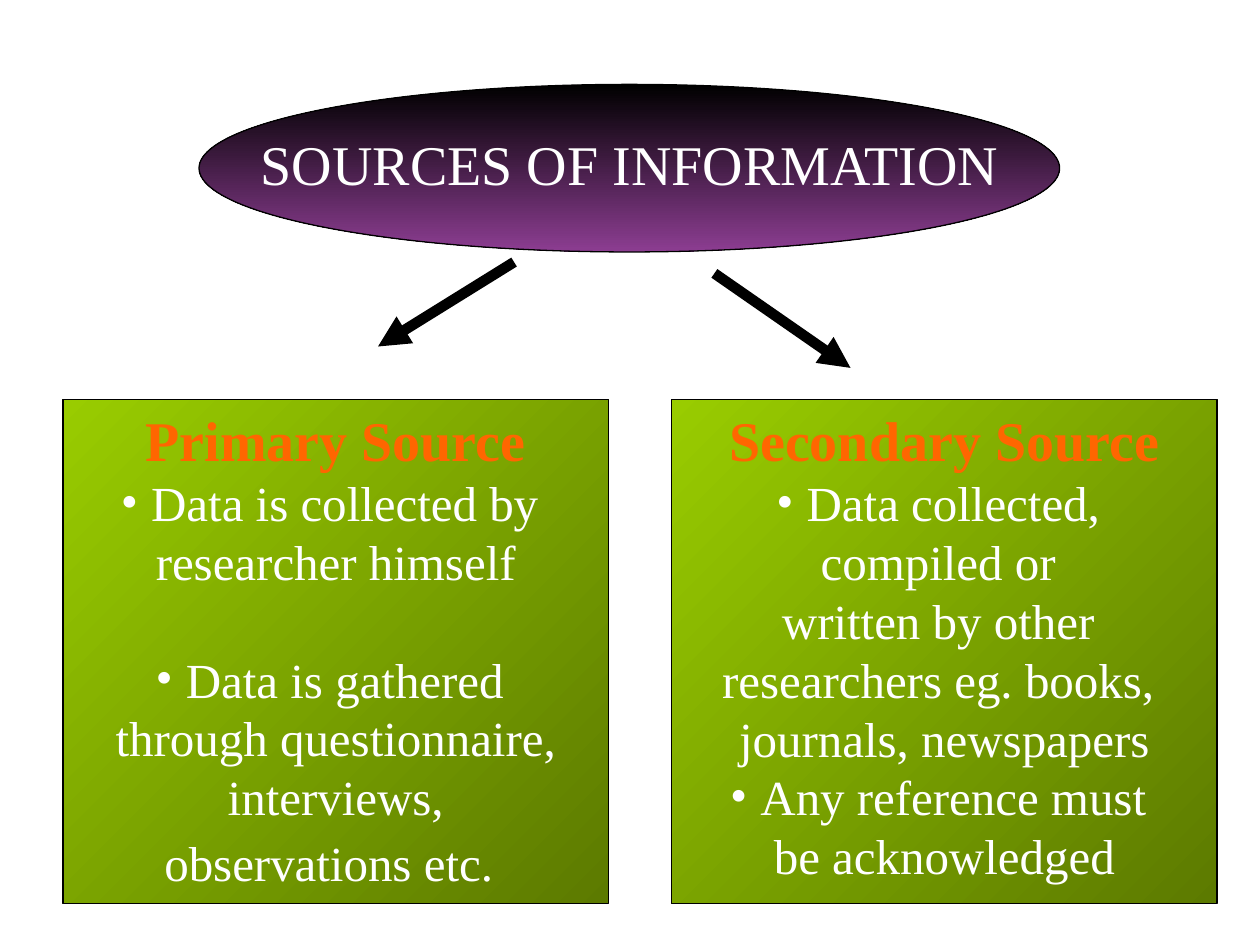
from dataclasses import dataclass

from lxml import etree
from pptx import Presentation
from pptx.dml.color import RGBColor
from pptx.enum.shapes import MSO_CONNECTOR, MSO_SHAPE
from pptx.enum.text import MSO_ANCHOR, PP_ALIGN
from pptx.oxml.ns import qn
from pptx.util import Inches, Pt

OVAL, RECTANGLE = MSO_SHAPE.OVAL, MSO_SHAPE.RECTANGLE
STRAIGHT = MSO_CONNECTOR.STRAIGHT
TOP, MIDDLE = MSO_ANCHOR.TOP, MSO_ANCHOR.MIDDLE
CENTER = PP_ALIGN.CENTER
TITLE_ONLY = 5


@dataclass(frozen=True)
class Theme:
    font: str = "Times New Roman"
    heading_size: float = 32
    body_size: float = 28
    outline: str = "000000"
    text: str = "FFFFFF"
    heading: str = "FF6600"
    oval_fill: tuple = ("000000", "8C3D91")
    panel_fill: tuple = ("5C7A00", "99CC00")
    outline_width: float = 0.75
    arrow_width: float = 6
    group_gap: float = 33.5


THEME = Theme()

# Each line: text, whether it is bulleted, whether a wide gap precedes it
PRIMARY = [
    ("Data is collected by ", True, False),
    ("researcher himself", False, False),
    ("Data is gathered ", True, True),
    ("through questionnaire,", False, False),
    ("interviews,", False, False),
    ("observations etc.", False, False),
]
SECONDARY = [
    ("Data collected, ", True, False),
    ("compiled or ", False, False),
    ("written by other ", False, False),
    ("researchers eg. books, ", False, False),
    ("journals, newspapers", False, False),
    ("Any reference must ", True, False),
    ("be acknowledged", False, False),
]


def write(paragraph, text, size=THEME.body_size, color=THEME.text,
          bold=False, before=0, bullet=False):
    """Add formatted, centred text to a paragraph."""
    paragraph.alignment = CENTER
    paragraph.space_before = Pt(before)
    run = paragraph.add_run()
    run.text = text
    run.font.name = THEME.font
    run.font.size = Pt(size)
    run.font.bold = bold
    run.font.color.rgb = RGBColor.from_string(color)
    if bullet:
        add_bullet(paragraph, color)


def add_bullet(paragraph, color):
    properties = paragraph._p.get_or_add_pPr()
    indent = Inches(0.24)
    properties.set("marL", str(indent))
    properties.set("indent", str(-indent))
    bullet_color = etree.SubElement(properties, qn("a:buClr"))
    etree.SubElement(bullet_color, qn("a:srgbClr"), val=color)
    etree.SubElement(properties, qn("a:buFont"), typeface=THEME.font)
    etree.SubElement(properties, qn("a:buChar"), char="•")


def add_gradient_shape(slide, kind, box, colors, angle):
    shape = slide.shapes.add_shape(kind, *map(Inches, box))
    shape.shadow.inherit = False
    shape.fill.gradient()
    shape.fill.gradient_angle = angle
    for stop, color in zip(shape.fill.gradient_stops, colors):
        stop.color.rgb = RGBColor.from_string(color)
    shape.line.color.rgb = RGBColor.from_string(THEME.outline)
    shape.line.width = Pt(THEME.outline_width)
    return shape


def add_title(slide, box):
    """Title placeholder in front of a gradient oval."""
    left, top, width, height = box
    oval = add_gradient_shape(slide, OVAL, box, THEME.oval_fill, 270)
    title = slide.shapes.title
    title.element.addprevious(oval.element)
    title.left, title.top = Inches(left - 0.83), Inches(top)
    title.width, title.height = Inches(width + 1.67), Inches(height - 0.08)
    title.text_frame.vertical_anchor = MIDDLE
    write(title.text_frame.paragraphs[0], "SOURCES OF INFORMATION",
          size=THEME.heading_size)


def add_arrow(slide, start, end):
    arrow = slide.shapes.add_connector(STRAIGHT, *map(Inches, start + end))
    arrow.line.color.rgb = RGBColor.from_string(THEME.outline)
    arrow.line.width = Pt(THEME.arrow_width)
    properties = arrow.element.spPr
    etree.SubElement(properties.find(qn("a:ln")), qn("a:tailEnd"), type="triangle")
    etree.SubElement(properties, qn("a:effectLst"))


def add_source_panel(slide, box, heading, lines):
    """Gradient panel with a bold heading above its lines."""
    panel = add_gradient_shape(slide, RECTANGLE, box, THEME.panel_fill, 135)
    frame = panel.text_frame
    frame.word_wrap = True
    frame.vertical_anchor = TOP
    write(frame.paragraphs[0], heading, size=THEME.heading_size,
          color=THEME.heading, bold=True)
    for text, bullet, starts_group in lines:
        gap = THEME.group_gap if starts_group else 0
        write(frame.add_paragraph(), text, before=gap, bullet=bullet)
    return frame


def main():
    presentation = Presentation()
    presentation.slide_width, presentation.slide_height = Inches(10), Inches(7.5)
    slide = presentation.slides.add_slide(presentation.slide_layouts[TITLE_ONLY])

    add_title(slide, (1.58, 0.67, 6.83, 1.33))

    # Arrows from the title to the two panels
    add_arrow(slide, (4.08, 2.08), (3, 2.75))
    add_arrow(slide, (5.67, 2.17), (6.75, 2.92))

    # Source panels; the first ends with a taller line
    primary = add_source_panel(slide, (0.5, 3.17, 4.33, 4), "Primary Source", PRIMARY)
    write(primary.paragraphs[-1], " ", size=THEME.heading_size)
    add_source_panel(slide, (5.33, 3.17, 4.33, 4), "Secondary Source", SECONDARY)

    presentation.save("out.pptx")


if __name__ == "__main__":
    main()
